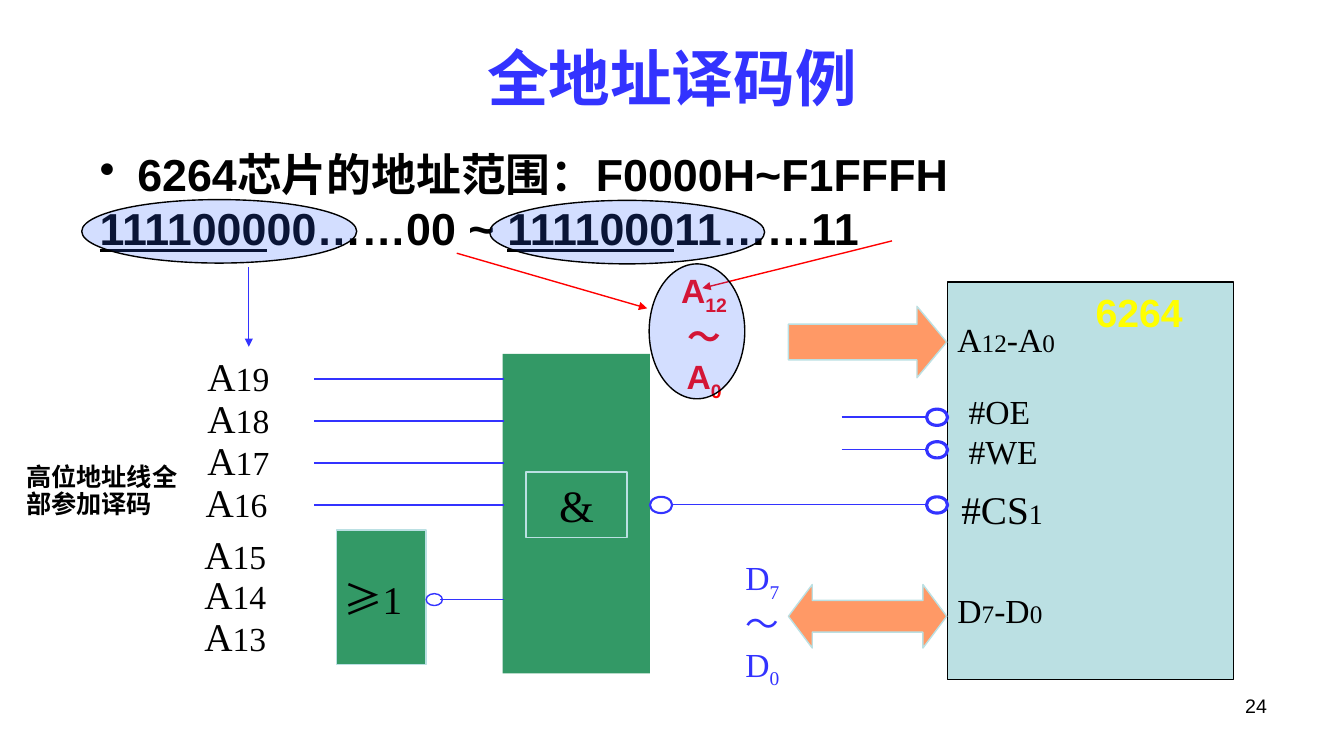
from lxml import etree
from pptx import Presentation
from pptx.dml.color import RGBColor
from pptx.enum.shapes import MSO_CONNECTOR as Link, MSO_SHAPE as Form
from pptx.enum.text import MSO_ANCHOR as Anchor, PP_ALIGN as Align
from pptx.oxml.ns import qn
from pptx.util import Cm, Pt

BLACK = RGBColor(0x00, 0x00, 0x00)
BLUE = RGBColor(0x33, 0x33, 0xFF)
RED = RGBColor(0xFF, 0x00, 0x00)
YELLOW = RGBColor(0xFF, 0xFF, 0x00)
GREEN = RGBColor(0x33, 0x99, 0x66)
ORANGE = RGBColor(0xFF, 0x99, 0x66)
PALE = RGBColor(0xBB, 0xE0, 0xE3)
TINT = RGBColor(0x33, 0x66, 0xFF)
SANS, SERIF, CJK = "Arial", "Times New Roman", "Noto Sans CJK SC"


def sub(parent, tag, **attrs):
    return etree.SubElement(parent, qn(tag), attrs)


def write(frame, lines, size, color=BLACK, face=SERIF, bold=False, align=Align.LEFT):
    """Each line is a list of runs: a string, or a pair of string and style.

    The style is a size in points, a font name, "sub" or "under".
    """
    frame.word_wrap = True
    for i, line in enumerate(lines):
        para = frame.add_paragraph() if i else frame.paragraphs[0]
        para.alignment = align
        font = para.font
        font.size, font.name, font.bold = Pt(size), face, bold
        font.color.rgb = color
        for part in line:
            words, style = (part, None) if isinstance(part, str) else part
            run = para.add_run()
            run.text = words
            if style == "sub":
                run.font._element.set("baseline", "-25000")
            elif style == "under":
                run.font.underline = True
            elif isinstance(style, str):
                run.font.name = style
            elif style:
                run.font.size = Pt(style)


def label(slide, box, lines, size, inset=0.25, **look):
    frame = slide.shapes.add_textbox(*map(Cm, box)).text_frame
    frame.margin_left = frame.margin_right = Cm(inset)
    write(frame, lines, size, **look)
    return frame


def block(slide, form, box, fill=None, line=None, width=1, alpha=None):
    shape = slide.shapes.add_shape(form, *map(Cm, box))
    shape.shadow.inherit = False
    if fill is None:
        shape.fill.background()
    else:
        shape.fill.solid()
        shape.fill.fore_color.rgb = fill
    if alpha:
        tone = shape.fill._xPr.find(".//" + qn("a:srgbClr"))
        sub(tone, "a:alpha", val=str(alpha * 1000))
    if line is None:
        shape.line.fill.background()
    else:
        shape.line.color.rgb = line
        shape.line.width = Pt(width)
    return shape


def wire(slide, x1, y1, x2, y2, color=BLUE, arrow=False):
    link = slide.shapes.add_connector(Link.STRAIGHT, Cm(x1), Cm(y1), Cm(x2), Cm(y2))
    link.line.color.rgb = color
    link.line.width = Pt(1)
    if arrow:
        sub(link.line._get_or_add_ln(), "a:tailEnd", type="triangle")
    sub(link._element.spPr, "a:effectLst")


def heading(slide, x, y, w):
    # Title
    title = label(slide, (x, y, w, 2.36), [["全地址译码例"]], 44, color=BLUE,
                  face=SANS, bold=True, align=Align.CENTER)
    title.vertical_anchor = Anchor.MIDDLE
    # Address range in hex and in binary
    body = label(slide, (x + 0.56, y + 2.97, w, 4.19), [
        ["6264芯片的地址范围：F0000H~F1FFFH"],
        [("1111000", "under"), "00……00 ~ ", ("1111000", "under"), "11……11"],
    ], 32, face=SANS, bold=True)
    for para in body.paragraphs:
        para.line_spacing = 0.9
        props = para._p.get_or_add_pPr()
        props.set("marL", str(Cm(0.95)))
        props.set("indent", str(-Cm(0.95)))
    first, second = body.paragraphs
    second.space_before = Pt(4)
    font = first._p.pPr.find(qn("a:defRPr"))
    bullet = etree.Element(qn("a:buChar"), char="•")
    font.addprevious(bullet)


def decoder(slide, x, y):
    # AND gate
    block(slide, Form.RECTANGLE, (x + 7.77, y + 0.16, 3.71, 8.05), GREEN)
    sign = block(slide, Form.RECTANGLE, (x + 8.36, y + 3.13, 2.54, 1.65), line=PALE)
    write(sign.text_frame, [["&"]], 32, align=Align.CENTER)
    block(slide, Form.OVAL, (x + 11.48, y + 3.76, 0.56, 0.41), line=BLUE, width=1.5)
    for i in range(4):
        level = y + 0.79 + 1.06 * i
        wire(slide, x + 3.02, level, x + 7.8, level)

    # OR gate
    block(slide, Form.RECTANGLE, (x + 3.58, y + 4.6, 2.26, 3.38), GREEN, PALE)
    label(slide, (x + 3.76, y + 5.62, 2.03, 1.45), [[("≥", CJK), "1"]], 28, inset=0)
    block(slide, Form.OVAL, (x + 5.84, y + 6.2, 0.41, 0.3), line=BLUE)
    wire(slide, x + 6.2, y + 6.35, x + 7.8, y + 6.35)

    # Address lines A19 to A13
    spots = [(0.08, 0), (0.08, 1.04), (0.08, 2.11), (0.03, 3.18),
             (0, 4.47), (0, 5.49), (0, 6.55)]
    for i, (dx, dy) in enumerate(spots):
        label(slide, (x + dx, y + dy, 3.38, 1.45), [["A", (str(19 - i), 24)]], 28)

    # Remark
    note = label(slide, (x - 4.24, y + 2.82, 3.99, 1.8), [["高位地址线全部参加译码"]],
                 18, inset=0, face=SANS, bold=True)
    note.paragraphs[0].line_spacing = 0.9


def chip(slide, x, y, w, h):
    block(slide, Form.RECTANGLE, (x, y, w, h), PALE, BLACK)
    label(slide, (x + 3.73, y + 0.03, 3.45, 1.45), [["6264"]], 28, inset=0,
          color=YELLOW, face=SANS, bold=True)

    # Buses
    for form, dy, tall, ratio, name, top in (
            (Form.RIGHT_ARROW, 0.61, 1.8, 0.417, "A", "12"),
            (Form.LEFT_RIGHT_ARROW, 7.62, 1.6, 0.375, "D", "7")):
        bus = block(slide, form, (x - 4.01, y + dy, 3.99, tall), ORANGE, PALE)
        bus.adjustments[0], bus.adjustments[1] = 0.5, ratio
        label(slide, (x + 0.25, y + max(dy, 0.81), 3.73, 1.27),
              [[name, (top, 18), "-" + name, ("0", 18)]], 24, inset=0)
    label(slide, (x - 6.4, y + 6.81, 2.41, 3.33),
          [["D", ("7", "sub")], ["～"], ["D", ("0", "sub")]], 24,
          color=BLUE, align=Align.RIGHT)

    # Control pins
    label(slide, (x + 0.53, y + 2.62, 2.39, 2.31), [["#OE"], ["#WE"]], 24, inset=0)
    label(slide, (x + 0.1, y + 5, 3.73, 1.45), [["#CS", ("1", 20)]], 28)
    for dy, reach in ((3.4, 2.67), (4.22, 2.67), (5.61, 6.98)):
        wire(slide, x - reach, y + dy, x - 0.53, y + dy)
        block(slide, Form.OVAL, (x - 0.53, y + dy - 0.2, 0.53, 0.41), line=BLUE, width=2.25)


def marks(slide, x, y):
    # Low address bits
    label(slide, (x + 14.48, y + 1.65, 2.41, 3.33),
          [["A", ("12", "sub")], ["～"], ["A", ("0", "sub")]], 24,
          color=RED, face=SANS, bold=True, align=Align.CENTER)
    # Pointers
    wire(slide, x + 4.21, y + 1.7, x + 4.21, y + 3.71, arrow=True)
    wire(slide, x + 9.45, y + 1.35, x + 14.25, y + 2.74, RED, arrow=True)
    wire(slide, x + 20.42, y + 1.04, x + 15.64, y + 2.23, RED, arrow=True)
    # Rings
    for dx, dy, w, h in ((0, 0, 6.93, 1.6), (14.3, 1.62, 2.41, 3.4), (10.28, 0.02, 6.93, 1.6)):
        block(slide, Form.OVAL, (x + dx, y + dy, w, h), TINT, BLACK, alpha=21)


def main():
    deck = Presentation()
    deck.slide_width, deck.slide_height = Cm(33.87), Cm(19.05)
    slide = deck.slides.add_slide(deck.slide_layouts[6])
    heading(slide, 1.7, 0.76, 30.48)
    decoder(slide, 4.9, 8.76)
    chip(slide, 23.88, 7.11, 7.21, 10.01)
    marks(slide, 2.06, 5.03)
    # Page number
    label(slide, (24.28, 17.35, 7.9, 1.32), [["24"]], 14, face=SANS, align=Align.RIGHT)
    deck.save("out.pptx")


if __name__ == "__main__":
    main()
